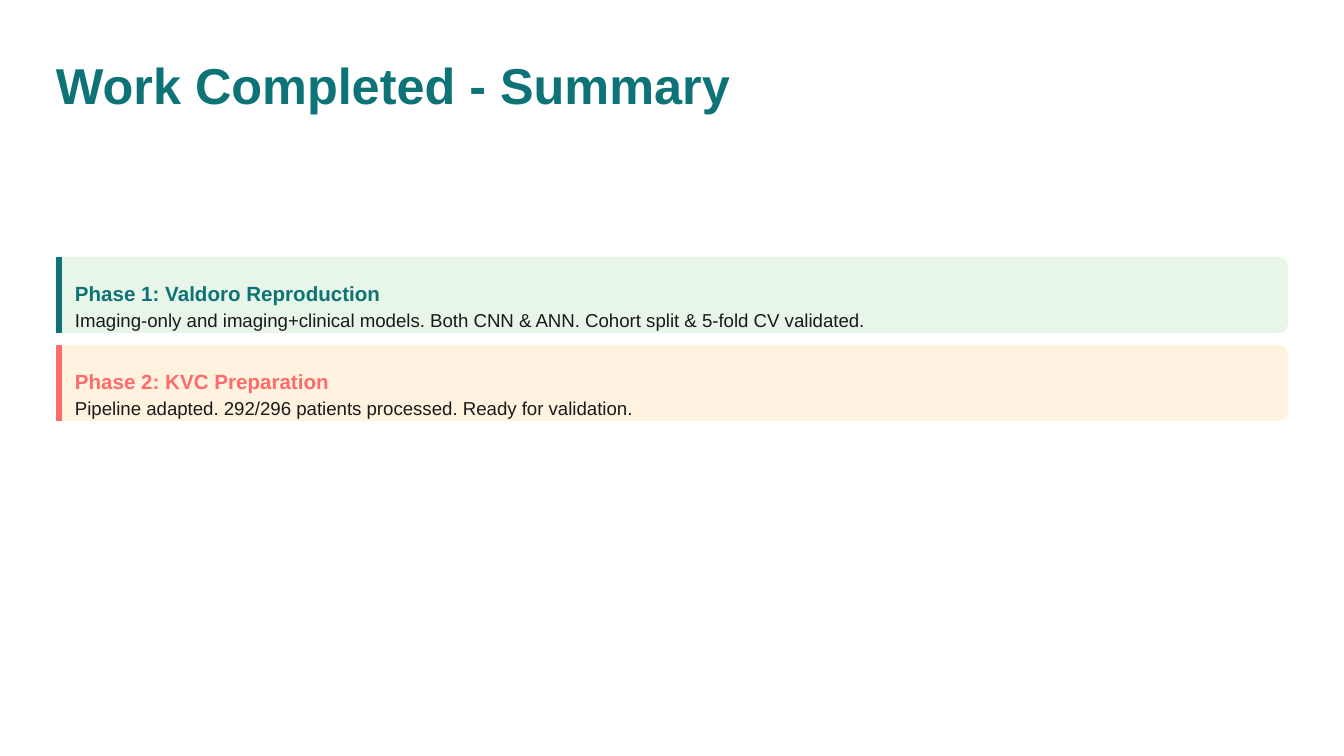
from dataclasses import dataclass

from lxml import etree
from pptx import Presentation
from pptx.dml.color import RGBColor
from pptx.enum import shapes, text
from pptx.oxml import ns
from pptx.util import Emu, Pt

EMU_PER_PX = 914400 / 134.4
LEFT = 56
CARD_TOP, CARD_WIDTH, CARD_HEIGHT, CARD_GAP = 257, 1232, 76, 12
TEXT_LEFT, TEXT_WIDTH = 75, 1223
TEAL, CORAL, INK = "0D7377", "FF6B6B", "1A1A1A"


@dataclass
class Phase:
    heading: str
    detail: str
    accent: str
    fill: str


PHASES = [
    Phase(
        "Phase 1: Valdoro Reproduction",
        "Imaging-only and imaging+clinical models. Both CNN & ANN. "
        "Cohort split & 5-fold CV validated.",
        TEAL,
        "E8F5E9",
    ),
    Phase(
        "Phase 2: KVC Preparation",
        "Pipeline adapted. 292/296 patients processed. Ready for validation.",
        CORAL,
        "FFF3E0",
    ),
]


def px(n: int) -> Emu:
    return Emu(round(n * EMU_PER_PX))


def rgb(color: str) -> RGBColor:
    return RGBColor.from_string(color)


def write(sp, words: str, size: int, color: str, bold: bool, spacing: float) -> None:
    tf = sp.text_frame
    tf.margin_left = tf.margin_top = tf.margin_right = tf.margin_bottom = 0
    tf.word_wrap = True
    tf.auto_size = text.MSO_AUTO_SIZE.NONE
    tf.vertical_anchor = text.MSO_ANCHOR.TOP
    p = tf.paragraphs[0]
    p.text = words
    p.alignment = text.PP_ALIGN.LEFT
    p.line_spacing = spacing
    p.font.name = "Arial"
    p.font.size = Pt(size)
    p.font.bold = bold
    p.font.color.rgb = rgb(color)


def add_title(s, words: str) -> None:
    sp = s.shapes.title
    sp.left, sp.top, sp.width, sp.height = px(LEFT), px(47), px(688), px(56)
    write(sp, words, 27, TEAL, True, 1.11)


def add_line(s, top: int, height: int, words: str, size: int, color: str, bold: bool) -> None:
    sp = s.shapes.add_textbox(px(TEXT_LEFT), px(top), px(TEXT_WIDTH), px(height))
    write(sp, words, size, color, bold, 1.4)


def add_phase(s, phase: Phase, top: int) -> None:
    card = s.shapes.add_shape(
        shapes.MSO_SHAPE.ROUNDED_RECTANGLE,
        px(LEFT), px(top), px(CARD_WIDTH), px(CARD_HEIGHT),
    )
    card.adjustments[0] = 0.12
    card.shadow.inherit = False
    card.fill.solid()
    card.fill.fore_color.rgb = rgb(phase.fill)
    card.line.fill.background()

    x = px(LEFT + 3)
    bar = s.shapes.add_connector(
        shapes.MSO_CONNECTOR.STRAIGHT, x, px(top), x, px(top + CARD_HEIGHT)
    )
    bar.line.color.rgb = rgb(phase.accent)
    bar.line.width = Pt(3)
    etree.SubElement(bar._element.spPr, ns.qn("a:effectLst"))

    add_line(s, top + 14, 23, phase.heading, 11, phase.accent, True)
    add_line(s, top + 43, 20, phase.detail, 10, INK, False)


def main() -> None:
    prs = Presentation()
    prs.slide_width, prs.slide_height = px(1344), px(756)
    s = prs.slides.add_slide(prs.slide_layouts.get_by_name("Title Only"))
    add_title(s, "Work Completed - Summary")
    for i, phase in enumerate(PHASES):
        add_phase(s, phase, CARD_TOP + i * (CARD_HEIGHT + CARD_GAP))
    prs.save("out.pptx")


if __name__ == "__main__":
    main()
